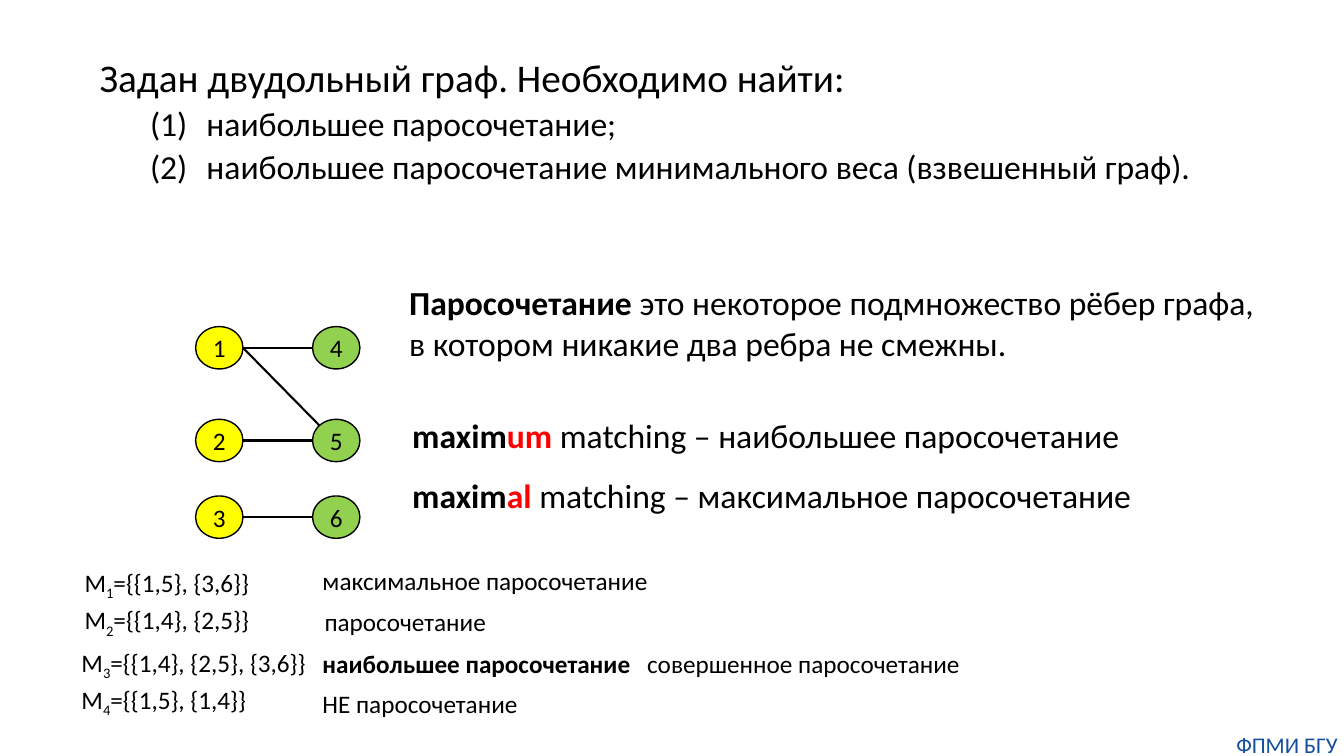
import math
from dataclasses import dataclass

import pptx
import pptx.dml.color
import pptx.enum.shapes
import pptx.enum.text
import pptx.util
from lxml import etree
from pptx.oxml.ns import qn
from pptx.util import Inches

ALIGN = pptx.enum.text.PP_ALIGN
ANCHOR = pptx.enum.text.MSO_ANCHOR


@dataclass(frozen=True)
class Theme:
    font: str = "Calibri"
    black: str = "000000"
    red: str = "FF0000"
    blue: str = "144E9D"
    left_part: str = "FFFF00"
    right_part: str = "92D050"
    heading: int = 28
    body: int = 24
    small: int = 18
    footer: int = 16


THEME = Theme()
NODE_WIDTH, NODE_HEIGHT = 0.47, 0.42
PART_LEFTS = (1.94, 3.1)
ROW_TOPS = (3.24, 4.16, 4.92)

TASKS = (
    "наибольшее паросочетание;",
    "наибольшее паросочетание минимального веса (взвешенный граф).",
)
# Left, top, width, index, edge set
MATCHINGS = (
    (0.74, 5.58, 1.9, "1", "={{1,5}, {3,6}}"),
    (0.74, 5.95, 1.86, "2", "={{1,4}, {2,5}}"),
    (0.71, 6.37, 2.46, "3", "={{1,4}, {2,5}, {3,6}}"),
    (0.71, 6.74, 1.9, "4", "={{1,5}, {1,4}}"),
)
# Left, top, width, wording, bold
VERDICTS = (
    (3.1, 5.56, 3.51, "максимальное паросочетание", False),
    (3.12, 5.97, 1.82, "паросочетание", False),
    (3.1, 6.38, 3.28, "наибольшее паросочетание", True),
    (6.32, 6.38, 3.37, "совершенное паросочетание", False),
    (3.1, 6.78, 2.16, "НЕ паросочетание", False),
)
# Top, width, ending, rest of the line
TERMS = (
    (4.07, 7.28, "um", " matching – наибольшее паросочетание"),
    (4.66, 7.36, "al", " matching – максимальное паросочетание"),
)


def rgb(value):
    return pptx.dml.color.RGBColor.from_string(value)


def apply(target, formats):
    for name, value in formats.items():
        setattr(target, name, value)


def add_span(para, text, size, color=THEME.black, bold=False, subscript=False):
    span = para.add_run()
    span.text = text
    apply(span.font, {"name": THEME.font, "size": pptx.util.Pt(size), "bold": bold})
    span.font.color.rgb = rgb(color)
    if subscript:
        span.font._element.set("baseline", "-25000")


def add_box(slide, left, top, width, height, wrap=False):
    """Add a text box and return its text frame."""
    box = slide.shapes.add_textbox(
        Inches(left), Inches(top), Inches(width), Inches(height))
    box.text_frame.word_wrap = wrap
    return box.text_frame


def number_para(para):
    """Number the paragraph as (1), (2) with a hanging indent."""
    properties = para._p.get_or_add_pPr()
    properties.set("marL", str(Inches(1.06)))
    properties.set("indent", str(Inches(-0.56)))
    etree.SubElement(properties, qn("a:buAutoNum"), type="arabicParenBoth")


def add_problem(slide):
    frame = add_box(slide, 0.89, 0.53, 11.43, 1.5, wrap=True)
    para = frame.paragraphs[0]
    apply(para, {"line_spacing": 0.9, "space_before": pptx.util.Pt(10)})
    add_span(para, "Задан двудольный граф. Необходимо найти:", THEME.heading)
    for task in TASKS:
        para = frame.add_paragraph()
        apply(para, {"line_spacing": 0.9, "space_before": pptx.util.Pt(5)})
        number_para(para)
        add_span(para, task, THEME.body)


def add_node(slide, left, top, label, color):
    node = slide.shapes.add_shape(
        pptx.enum.shapes.MSO_SHAPE.OVAL,
        Inches(left), Inches(top), Inches(NODE_WIDTH), Inches(NODE_HEIGHT))
    node.shadow.inherit = False
    node.fill.solid()
    node.fill.fore_color.rgb = rgb(color)
    node.line.color.rgb = rgb(THEME.black)
    node.line.width = pptx.util.Pt(1)
    frame = node.text_frame
    apply(frame, {"margin_left": 0, "margin_right": 0, "margin_top": 0,
                  "margin_bottom": 0, "vertical_anchor": ANCHOR.MIDDLE})
    frame.paragraphs[0].alignment = ALIGN.CENTER
    add_span(frame.paragraphs[0], label, THEME.small)


def add_edge(slide, start, end):
    edge = slide.shapes.add_connector(
        pptx.enum.shapes.MSO_CONNECTOR.STRAIGHT, *map(Inches, start + end))
    edge.line.color.rgb = rgb(THEME.black)
    edge.line.width = pptx.util.Pt(1.5)
    etree.SubElement(edge._element.spPr, qn("a:effectLst"))


def add_graph(slide):
    first_label = 1
    for left, color in zip(PART_LEFTS, (THEME.left_part, THEME.right_part)):
        for row, top in enumerate(ROW_TOPS):
            add_node(slide, left, top, str(first_label + row), color)
        first_label += len(ROW_TOPS)

    start_x, end_x = PART_LEFTS[0] + NODE_WIDTH, PART_LEFTS[1]
    middles = [top + NODE_HEIGHT / 2 for top in ROW_TOPS]
    for middle in middles:
        add_edge(slide, (start_x, middle), (end_x, middle))
    # The slanted edge meets node 5 at 45 degrees on its upper left
    inset = (1 - math.sqrt(0.5)) / 2
    add_edge(slide, (start_x, middles[0]),
             (end_x + NODE_WIDTH * inset, ROW_TOPS[1] + NODE_HEIGHT * inset))


def add_definitions(slide):
    para = add_box(slide, 3.96, 2.75, 8.67, 0.91, wrap=True).paragraphs[0]
    add_span(para, "Паросочетание", THEME.body, bold=True)
    add_span(para, " это некоторое подмножество рёбер графа, "
                   "в котором никакие два ребра не смежны.", THEME.body)
    for top, width, ending, rest in TERMS:
        para = add_box(slide, 3.99, top, width, 0.5).paragraphs[0]
        add_span(para, "maxim", THEME.body, bold=True)
        add_span(para, ending, THEME.body, THEME.red, bold=True)
        add_span(para, rest, THEME.body)


def add_examples(slide):
    for left, top, width, index, edges in MATCHINGS:
        para = add_box(slide, left, top, width, 0.4).paragraphs[0]
        add_span(para, "M", THEME.small)
        add_span(para, index, THEME.small, subscript=True)
        add_span(para, edges, THEME.small)
    for left, top, width, wording, bold in VERDICTS:
        para = add_box(slide, left, top, width, 0.4).paragraphs[0]
        add_span(para, wording, THEME.small, bold=bold)


def add_footer(slide):
    frame = add_box(slide, 12.2, 7.25, 1.13, 0.27, wrap=True)
    apply(frame, {"margin_left": 0, "margin_right": 0,
                  "margin_top": 0, "margin_bottom": 0})
    frame.paragraphs[0].alignment = ALIGN.CENTER
    add_span(frame.paragraphs[0], "ФПМИ БГУ", THEME.footer, THEME.blue)


def main():
    deck = pptx.Presentation()
    apply(deck, {"slide_width": Inches(13.33), "slide_height": Inches(7.5)})
    slide = deck.slides.add_slide(deck.slide_layouts[6])
    add_problem(slide)
    add_graph(slide)
    add_definitions(slide)
    add_examples(slide)
    add_footer(slide)
    deck.save("out.pptx")


if __name__ == "__main__":
    main()
